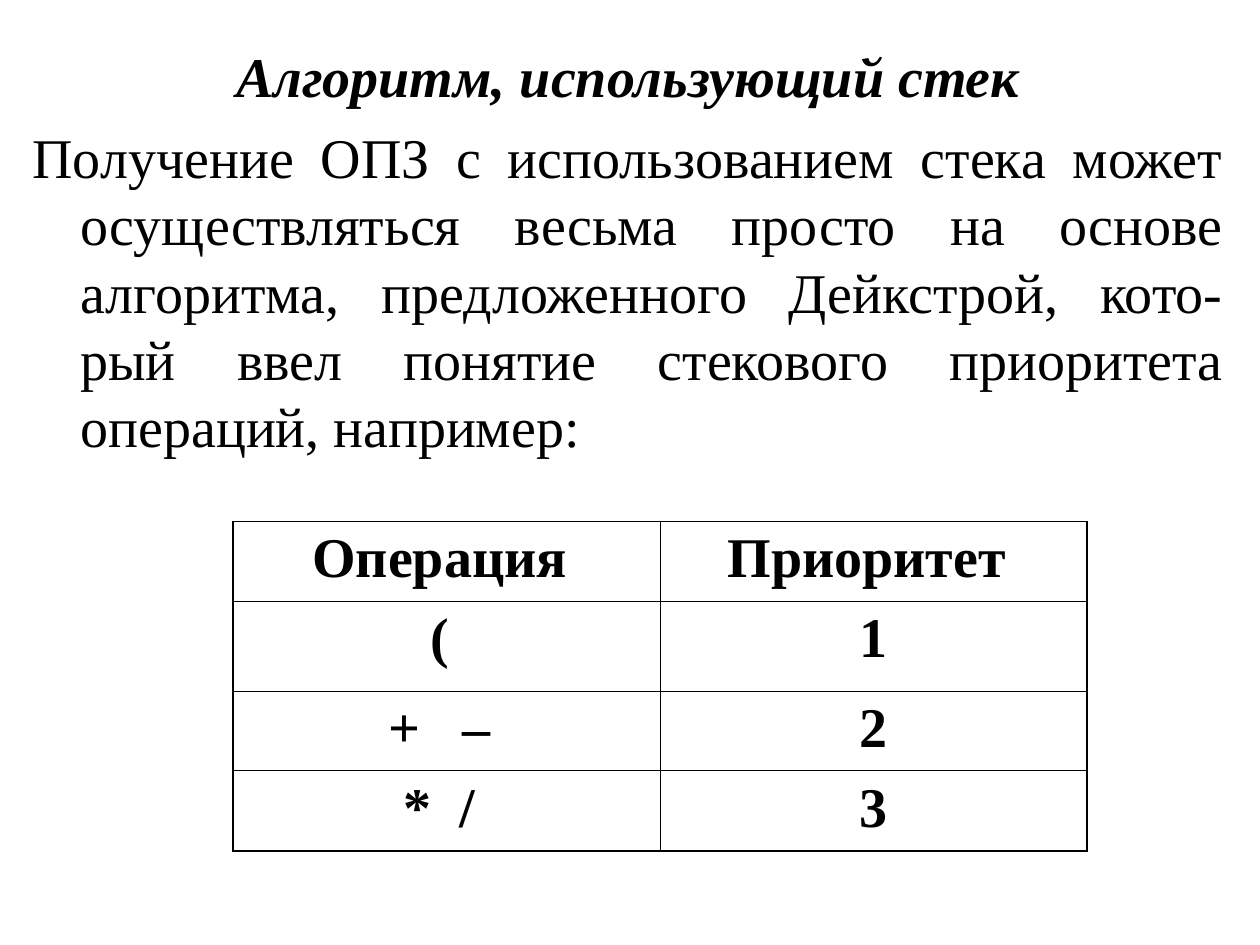
import dataclasses

import lxml.etree
import pptx
import pptx.dml.color
import pptx.enum.text
import pptx.oxml.ns
import pptx.util

Inches = pptx.util.Inches
Pt = pptx.util.Pt
Align = pptx.enum.text.PP_ALIGN
qn = pptx.oxml.ns.qn


@dataclasses.dataclass(frozen=True)
class Theme:
    font: str = "Times New Roman"
    ink: str = "000000"
    size: float = 32
    space_before: float = 8
    hanging: float = 0.38
    outer_border: float = 1.08
    inner_border: float = 0.45


@dataclasses.dataclass(frozen=True)
class Passage:
    text: str
    align: Align
    bold: bool = False
    italic: bool = False
    hanging: bool = False


THEME = Theme()
SLIDE_WIDTH, SLIDE_HEIGHT = 10, 7.5

PASSAGES = (
    Passage("Алгоритм, использующий стек", Align.CENTER, True, True, True),
    Passage(
        "Получение ОПЗ с использованием стека может осуществляться весьма просто "
        "на основе алгоритма, предложенного Дейкстрой, кото-рый ввел понятие "
        "стекового приоритета операций, например:",
        Align.JUSTIFY,
        hanging=True,
    ),
)

PRIORITIES = (
    ("Операция ", "Приоритет "),
    ("( ", "1"),
    ("+   – ", "2"),
    ("*  / ", "3"),
)
COLUMN_WIDTH = 3.39
ROW_HEIGHTS = (0.63, 0.71, 0.63, 0.63)


def write(paragraph, passage: Passage) -> None:
    paragraph.text = passage.text
    paragraph.alignment = passage.align
    paragraph.space_before = Pt(THEME.space_before)
    if passage.hanging:
        properties = paragraph._p.get_or_add_pPr()
        properties.set("marL", str(Inches(THEME.hanging)))
        properties.set("indent", str(-Inches(THEME.hanging)))
    for run in paragraph.runs:
        run.font.name = THEME.font
        run.font.size = Pt(THEME.size)
        run.font.bold = passage.bold
        run.font.italic = passage.italic
        run.font.color.rgb = pptx.dml.color.RGBColor.from_string(THEME.ink)


def draw_border(cell, side: str, width: float) -> None:
    line = lxml.etree.SubElement(
        cell._tc.get_or_add_tcPr(), qn(f"a:{side}"), w=str(Pt(width))
    )
    fill = lxml.etree.SubElement(line, qn("a:solidFill"))
    lxml.etree.SubElement(fill, qn("a:srgbClr"), val=THEME.ink)


def draw_explanation(slide) -> None:
    explanation = slide.shapes.add_textbox(
        Inches(0.16), Inches(0.28), Inches(9.65), Inches(3.47)
    ).text_frame
    explanation.word_wrap = True
    for index, passage in enumerate(PASSAGES):
        paragraph = explanation.add_paragraph() if index else explanation.paragraphs[0]
        write(paragraph, passage)


def draw_priorities(slide) -> None:
    last_row, last_column = len(PRIORITIES) - 1, len(PRIORITIES[0]) - 1
    priorities = slide.shapes.add_table(
        last_row + 1,
        last_column + 1,
        Inches(1.85),
        Inches(4.14),
        Inches(COLUMN_WIDTH * (last_column + 1)),
        Inches(sum(ROW_HEIGHTS)),
    ).table
    priorities.first_row = False
    priorities.horz_banding = False
    for column in priorities.columns:
        column.width = Inches(COLUMN_WIDTH)
    for row, height in zip(priorities.rows, ROW_HEIGHTS):
        row.height = Inches(height)
    for row_index, entries in enumerate(PRIORITIES):
        for column_index, entry in enumerate(entries):
            cell = priorities.cell(row_index, column_index)
            write(cell.text_frame.paragraphs[0], Passage(entry, Align.CENTER, True))
            outer_sides = {
                "lnL": column_index == 0,
                "lnR": column_index == last_column,
                "lnT": row_index == 0,
                "lnB": row_index == last_row,
            }
            for side, outer in outer_sides.items():
                draw_border(
                    cell, side, THEME.outer_border if outer else THEME.inner_border
                )
            cell.fill.background()


def main() -> None:
    presentation = pptx.Presentation()
    presentation.slide_width = Inches(SLIDE_WIDTH)
    presentation.slide_height = Inches(SLIDE_HEIGHT)
    slide = presentation.slides.add_slide(presentation.slide_layouts[6])
    draw_explanation(slide)
    draw_priorities(slide)
    presentation.save("out.pptx")


main()
